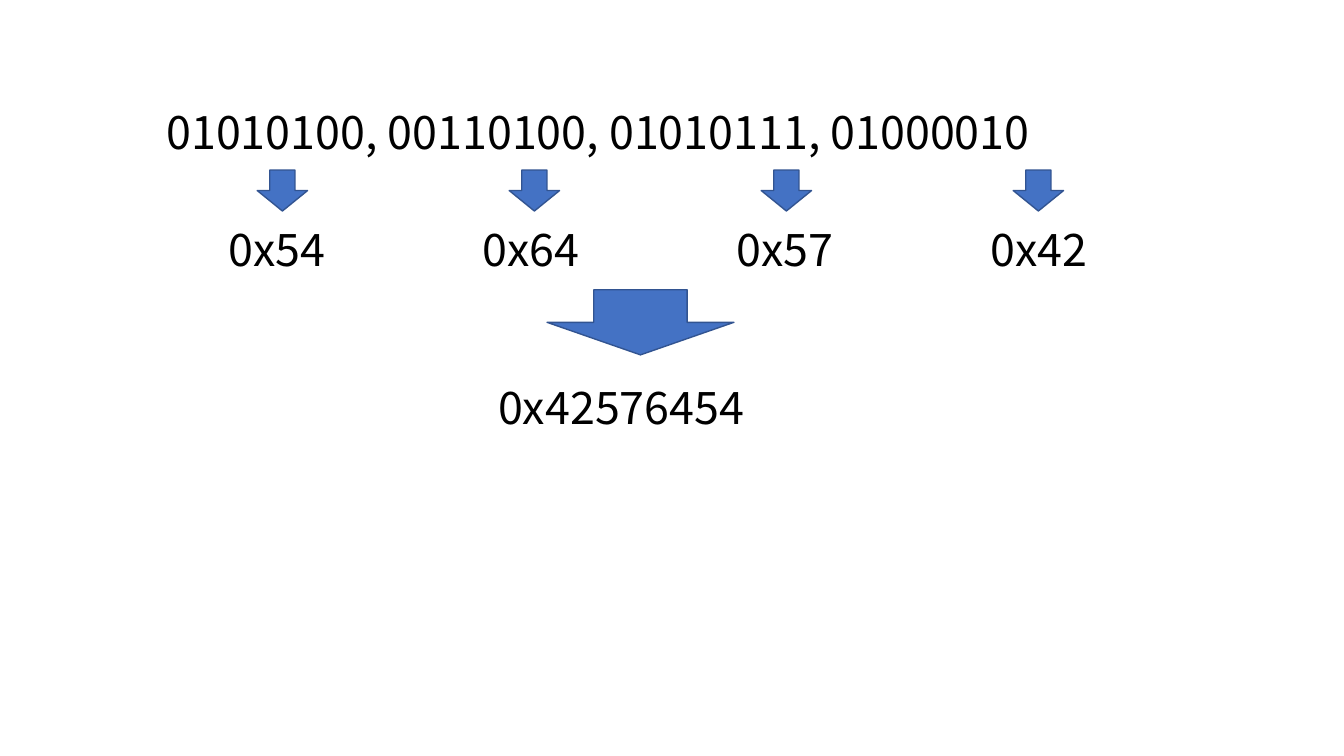
from pptx import Presentation
from pptx.dml.color import RGBColor
from pptx.enum.shapes import MSO_SHAPE
from pptx.enum.text import MSO_AUTO_SIZE
from pptx.util import Emu, Pt

BLACK = RGBColor(0x00, 0x00, 0x00)
BLUE = RGBColor(0x44, 0x72, 0xC4)
DARK_BLUE = RGBColor(0x32, 0x54, 0x91)


def px(*lengths):
    return [Emu(length * 9525) for length in lengths]


class ByteSlide:
    text_format = {"name": "Noto Sans CJK JP", "size": Pt(32)}
    frame_format = {"word_wrap": False, "auto_size": MSO_AUTO_SIZE.SHAPE_TO_FIT_TEXT}

    def __init__(self, deck):
        self.page = deck.slides.add_slide(deck.slide_layouts[6])

    def text(self, words, left, top, width, height=61):
        box = self.page.shapes.add_textbox(*px(left, top, width, height))
        for key, value in self.frame_format.items():
            setattr(box.text_frame, key, value)
        span = box.text_frame.paragraphs[0].add_run()
        span.text = words
        for key, value in self.text_format.items():
            setattr(span.font, key, value)
        span.font.color.rgb = BLACK

    def arrow(self, left, top, width, height):
        arrow = self.page.shapes.add_shape(MSO_SHAPE.DOWN_ARROW, *px(left, top, width, height))
        arrow.shadow.inherit = False
        arrow.fill.solid()
        arrow.fill.fore_color.rgb = BLUE
        arrow.line.color.rgb = DARK_BLUE
        arrow.line.width = Pt(1)


def main():
    deck = Presentation()
    deck.slide_width, deck.slide_height = px(1280, 720)
    slide = ByteSlide(deck)
    slide.text("01010100, 00110100, 01010111, 01000010", 149, 95, 965)
    for index, byte in enumerate(["0x54", "0x64", "0x57", "0x42"]):
        slide.arrow(245 + 240 * index, 162, 48, 39)
        slide.text(byte, 208 + 242 * index, 206, 124)
    slide.text("0x42576454", 465, 357, 284)
    slide.arrow(521, 276, 178, 62)
    deck.save("out.pptx")


if __name__ == "__main__":
    main()
